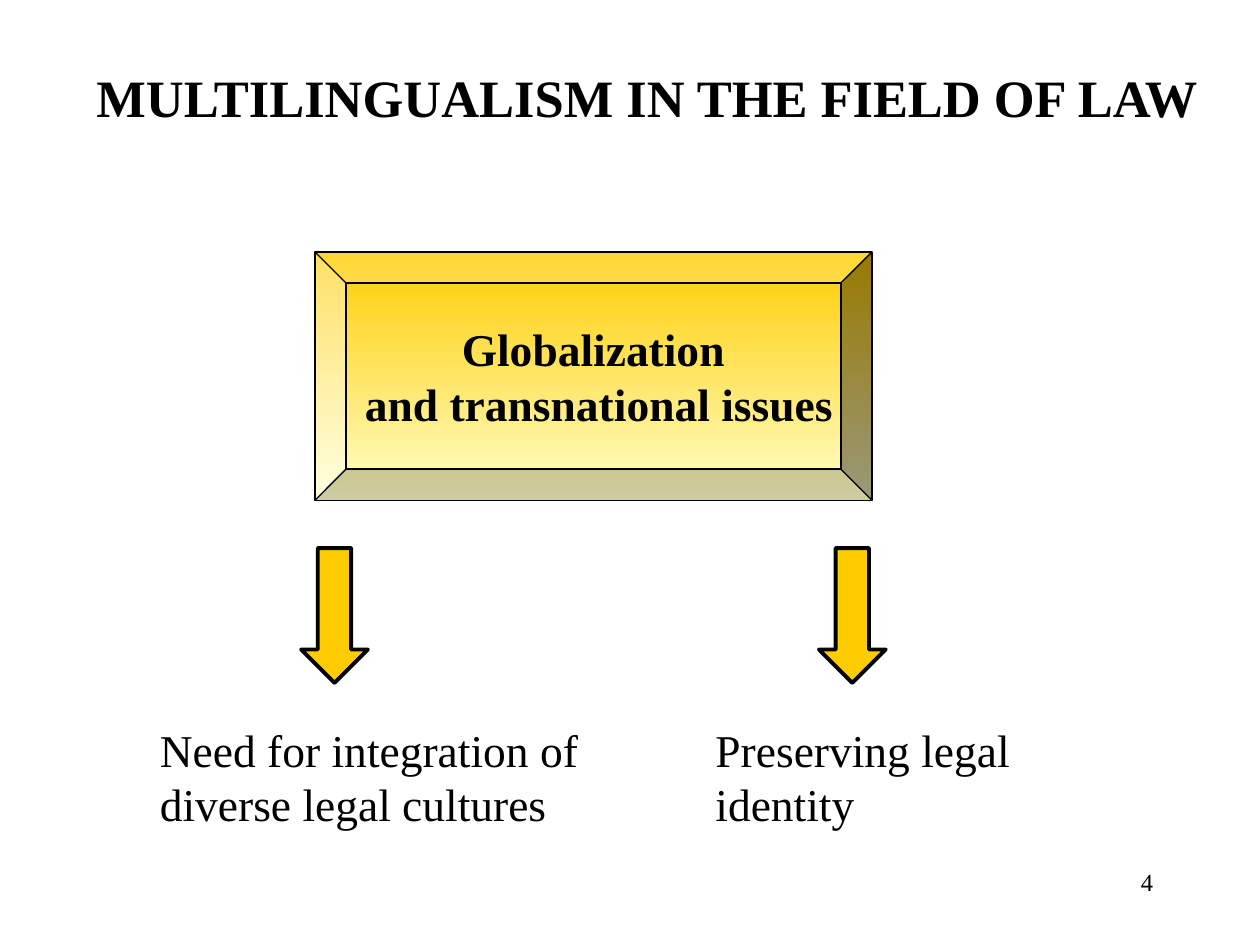
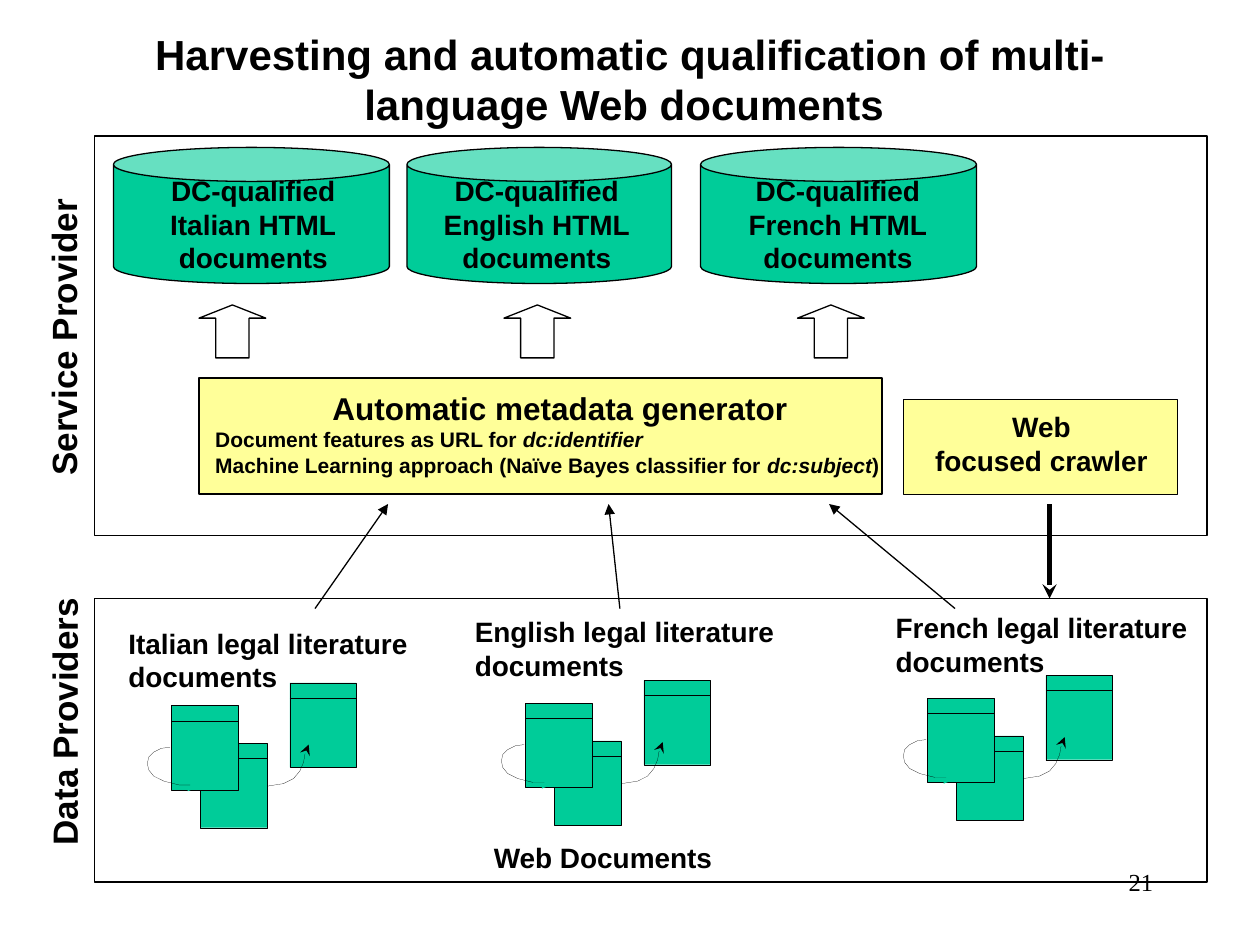
from dataclasses import dataclass

from pptx import Presentation
from pptx.dml.color import RGBColor
from pptx.enum.shapes import MSO_CONNECTOR, MSO_SHAPE
from pptx.enum.text import MSO_ANCHOR, MSO_AUTO_SIZE, PP_ALIGN
from pptx.oxml.ns import qn
from pptx.oxml.xmlchemy import OxmlElement
from pptx.shapes.autoshape import Shape
from pptx.slide import Slide
from pptx.util import Inches, Pt

BLACK = RGBColor(0x00, 0x00, 0x00)
GOLD = RGBColor(0xFF, 0xCC, 0x00)
CREAM = RGBColor(0xFF, 0xFF, 0xCC)
YELLOW = RGBColor(0xFF, 0xFF, 0x99)
GREEN = RGBColor(0x00, 0xCC, 0x99)

SERIF = "Times New Roman"
SANS = "Arial"
HAIRLINE = 0.1
THIN = 0.75

Point = tuple[float, float]


@dataclass(frozen=True)
class Box:
    left: float
    top: float
    width: float
    height: float

    def inches(self) -> tuple[int, int, int, int]:
        return (Inches(self.left), Inches(self.top),
                Inches(self.width), Inches(self.height))


@dataclass(frozen=True)
class TextStyle:
    size: float
    font: str = SANS
    bold: bool = True
    align: PP_ALIGN = PP_ALIGN.LEFT


@dataclass(frozen=True)
class Language:
    """One column of the harvesting diagram, from web documents to store."""
    name: str
    store: Box
    store_label: Box
    arrow_left: float
    literature: Box
    cluster: Point
    flow_start: Point
    flow_end: Point


SERIF_TITLE = TextStyle(30, SERIF, align=PP_ALIGN.CENTER)
SANS_TITLE = TextStyle(24, align=PP_ALIGN.CENTER)
ISSUE = TextStyle(26, SERIF, align=PP_ALIGN.CENTER)
CONSEQUENCE = TextStyle(26, SERIF, bold=False)
PAGE_NUMBER = TextStyle(14, SERIF, bold=False, align=PP_ALIGN.RIGHT)
PROVIDER = TextStyle(20)
GENERATOR = TextStyle(18, align=PP_ALIGN.CENTER)
FEATURE = TextStyle(12)
LABEL = TextStyle(16)
CENTERED_LABEL = TextStyle(16, align=PP_ALIGN.CENTER)

CONSEQUENCES = [
    (2.39, Box(1.17, 5.68, 3.58, 1.8), "Need for integration of diverse legal cultures"),
    (6.5, Box(5.58, 5.68, 3.27, 1.4), "Preserving legal identity"),
]

LANGUAGES = [
    Language("Italian", Box(0.9, 1.17, 2.19, 1.08), Box(1.25, 1.33, 1.52, 0.9), 1.58,
             Box(0.92, 4.92, 2.42, 0.64), (1.17, 5.42), (2.5, 4.83), (3.08, 4)),
    Language("English", Box(3.23, 1.17, 2.1, 1.08), Box(3.42, 1.33, 1.68, 0.9), 4,
             Box(3.67, 4.83, 2.58, 0.64), (3.98, 5.4), (4.92, 4.83), (4.83, 4)),
    Language("French", Box(5.56, 1.17, 2.19, 1.08), Box(5.84, 1.33, 1.62, 0.9), 6.33,
             Box(7.01, 4.8, 2.52, 0.64), (7.17, 5.36), (7.58, 4.83), (6.58, 4)),
]

# Parts of a cluster of linked documents, measured from its top left corner.
PAGES = [(0.42, 0.48), (1.13, 0), (0.19, 0.18)]
PAGE_WIDTH, PAGE_HEIGHT, PAGE_HEADER = 0.53, 0.67, 0.12
LOOP = [(0.18, 0.51), (0.11, 0.52), (0.05, 0.55), (0.01, 0.59), (0, 0.64),
        (0.01, 0.69), (0.05, 0.74), (0.13, 0.78), (0.25, 0.81), (0.34, 0.81)]
LOOP_TIP = [(0.42, 0.82), (0.32, 0.76), (0.32, 0.86)]
LINK = [(0.95, 0.82), (1.08, 0.8), (1.16, 0.76), (1.21, 0.7), (1.24, 0.63),
        (1.25, 0.57), (1.27, 0.51), (1.28, 0.49)]
LINK_TIP = [(1.35, 0.45), (1.23, 0.47), (1.29, 0.55)]


def add_arrowhead(line_owner, kind: str) -> None:
    tail = OxmlElement("a:tailEnd")
    tail.set("type", kind)
    line_owner.element.spPr.find(qn("a:ln")).append(tail)


def paint(shape: Shape, fill: RGBColor | None, line_width: float | None) -> None:
    """Fill and outline a shape; None leaves that part out."""
    shape.shadow.inherit = False
    if fill is None:
        shape.fill.background()
    else:
        shape.fill.solid()
        shape.fill.fore_color.rgb = fill
    if line_width is None:
        shape.line.fill.background()
    else:
        shape.line.color.rgb = BLACK
        shape.line.width = Pt(line_width)


def add_block(slide: Slide, kind: MSO_SHAPE, box: Box, fill: RGBColor | None = None,
              line_width: float = THIN, adjustments: tuple[float, ...] = ()) -> Shape:
    block = slide.shapes.add_shape(kind, *box.inches())
    for index, value in enumerate(adjustments):
        block.adjustments[index] = value
    paint(block, fill, line_width)
    return block


def write(shape: Shape, lines: list[tuple[str, TextStyle]], wrap: bool = True,
          padded: bool = True, anchor: MSO_ANCHOR = MSO_ANCHOR.TOP) -> None:
    """Write one paragraph per line; text between asterisks is italic."""
    frame = shape.text_frame
    frame.word_wrap = wrap
    frame.vertical_anchor = anchor
    frame.margin_left = frame.margin_right = Inches(0.1 if padded else 0)
    frame.margin_top = frame.margin_bottom = Inches(0.05 if padded else 0)
    for index, (text, style) in enumerate(lines):
        paragraph = frame.add_paragraph() if index else frame.paragraphs[0]
        paragraph.alignment = style.align
        paragraph.font.name = style.font
        paragraph.font.size = Pt(style.size)
        paragraph.font.bold = style.bold
        paragraph.font.color.rgb = BLACK
        if "*" not in text:
            paragraph.text = text
            continue
        for part, piece in enumerate(text.split("*")):
            run = paragraph.add_run()
            run.text = piece
            if part % 2:
                run.font.italic = True


def add_text(slide: Slide, box: Box, lines: list[tuple[str, TextStyle]], wrap: bool = True,
             padded: bool = True, anchor: MSO_ANCHOR = MSO_ANCHOR.TOP) -> Shape:
    """Add a text box; one that does not wrap grows to fit its lines."""
    text_box = slide.shapes.add_textbox(*box.inches())
    write(text_box, lines, wrap, padded, anchor)
    if not wrap:
        text_box.text_frame.auto_size = MSO_AUTO_SIZE.SHAPE_TO_FIT_TEXT
    return text_box


def add_line(slide: Slide, start: Point, end: Point, width: float = THIN,
             head: str | None = None) -> None:
    line = slide.shapes.add_connector(
        MSO_CONNECTOR.STRAIGHT, *(Inches(value) for value in (*start, *end)))
    line.line.color.rgb = BLACK
    line.line.width = Pt(width)
    if head:
        add_arrowhead(line, head)
    line.element.spPr.append(OxmlElement("a:effectLst"))


def add_outline(slide: Slide, origin: Point, offsets: list[Point], closed: bool) -> Shape:
    """Draw a closed green tip or an open hairline curve."""
    points = [(Inches(origin[0] + x), Inches(origin[1] + y)) for x, y in offsets]
    builder = slide.shapes.build_freeform(*points[0])
    builder.add_line_segments(points[1:], close=closed)
    outline = builder.convert_to_shape()
    paint(outline, GREEN if closed else None, None if closed else HAIRLINE)
    return outline


def add_page_number(slide: Slide, number: int) -> None:
    add_text(slide, Box(7.17, 6.83, 2.08, 0.5), [(str(number), PAGE_NUMBER)])


def add_document_cluster(slide: Slide, origin: Point) -> None:
    for x, y in PAGES:
        left, top = origin[0] + x, origin[1] + y
        add_block(slide, MSO_SHAPE.RECTANGLE, Box(left, top, PAGE_WIDTH, PAGE_HEIGHT),
                  GREEN, HAIRLINE)
        header = top + PAGE_HEADER
        add_line(slide, (left, header), (left + PAGE_WIDTH, header), HAIRLINE)
    add_outline(slide, origin, LOOP_TIP, closed=True)
    add_outline(slide, origin, LOOP, closed=False)
    add_outline(slide, origin, LINK_TIP, closed=True)
    add_arrowhead(add_outline(slide, origin, LINK, closed=False), "stealth")


def add_language(slide: Slide, language: Language) -> None:
    add_block(slide, MSO_SHAPE.CAN, language.store, GREEN, adjustments=(0.25,))
    store_lines = ("DC-qualified", f"{language.name} HTML", "documents")
    add_text(slide, language.store_label,
             [(line, CENTERED_LABEL) for line in store_lines], wrap=False)
    add_block(slide, MSO_SHAPE.UP_ARROW, Box(language.arrow_left, 2.42, 0.53, 0.42),
              adjustments=(0.5, 0.25))
    add_line(slide, language.flow_start, language.flow_end, head="triangle")
    add_document_cluster(slide, language.cluster)
    add_text(slide, language.literature,
             [(f"{language.name} legal literature\vdocuments", LABEL)], wrap=False)


def build_multilingualism(slide: Slide) -> None:
    add_text(slide, Box(0.52, 0.47, 9.24, 0.6),
             [("MULTILINGUALISM IN THE FIELD OF LAW", SERIF_TITLE)], wrap=False)
    globalization = add_block(slide, MSO_SHAPE.BEVEL, Box(2.5, 2, 4.42, 1.97),
                              GOLD, adjustments=(0.125,))
    globalization.fill.gradient()
    globalization.fill.gradient_angle = 270
    for stop, position, color in zip(globalization.fill.gradient_stops, (0, 1), (GOLD, CREAM)):
        stop.position = position
        stop.color.rgb = color
    write(globalization, [("Globalization", ISSUE), (" and transnational issues", ISSUE)],
          wrap=False, anchor=MSO_ANCHOR.MIDDLE)
    for arrow_left, box, consequence in CONSEQUENCES:
        add_block(slide, MSO_SHAPE.DOWN_ARROW, Box(arrow_left, 4.35, 0.53, 1.07),
                  GOLD, 2.25, (0.5, 0.5))
        add_text(slide, box, [(consequence, CONSEQUENCE)])
    add_page_number(slide, 4)


def build_harvesting(slide: Slide) -> None:
    providers = [
        ("Service Provider", Box(-0.6, 2.51, 2.2, 0.33), Box(0.75, 1.08, 8.83, 3.17)),
        ("Data Providers", Box(-0.48, 5.56, 1.97, 0.33), Box(0.75, 4.75, 8.83, 2.25)),
    ]
    for provider, label, panel in providers:
        add_block(slide, MSO_SHAPE.RECTANGLE, panel)
        add_text(slide, label, [(provider, PROVIDER)], wrap=False, padded=False).rotation = 270

    add_block(slide, MSO_SHAPE.RECTANGLE, Box(1.58, 3, 5.42, 0.92), YELLOW)
    add_text(slide, Box(1.61, 3.04, 5.67, 0.8), [
        ("Automatic metadata generator", GENERATOR),
        ("Document features as URL for *dc:identifier*", FEATURE),
        ("Machine Learning approach (Naïve Bayes classifier for *dc:subject*)", FEATURE),
    ])
    add_block(slide, MSO_SHAPE.RECTANGLE, Box(7.17, 3.17, 2.17, 0.75), YELLOW, HAIRLINE)
    add_text(slide, Box(7.17, 3.25, 2.19, 0.53),
             [("Web", CENTERED_LABEL), ("focused crawler", CENTERED_LABEL)], padded=False)
    add_line(slide, (8.33, 4), (8.33, 4.75), 2.75, "stealth")

    for language in LANGUAGES:
        add_language(slide, language)
    add_text(slide, Box(3.92, 6.67, 1.74, 0.27), [("Web Documents", LABEL)],
             wrap=False, padded=False)
    add_text(slide, Box(0.75, 0, 8.5, 1.25), [
        ("Harvesting and automatic qualification of multi-language Web documents ", SANS_TITLE),
    ], anchor=MSO_ANCHOR.MIDDLE)
    add_page_number(slide, 21)


def main() -> None:
    presentation = Presentation()
    presentation.slide_width = Inches(10)
    presentation.slide_height = Inches(7.5)
    blank = presentation.slide_layouts[6]
    for build in (build_multilingualism, build_harvesting):
        build(presentation.slides.add_slide(blank))
    presentation.save("out.pptx")


if __name__ == "__main__":
    main()
